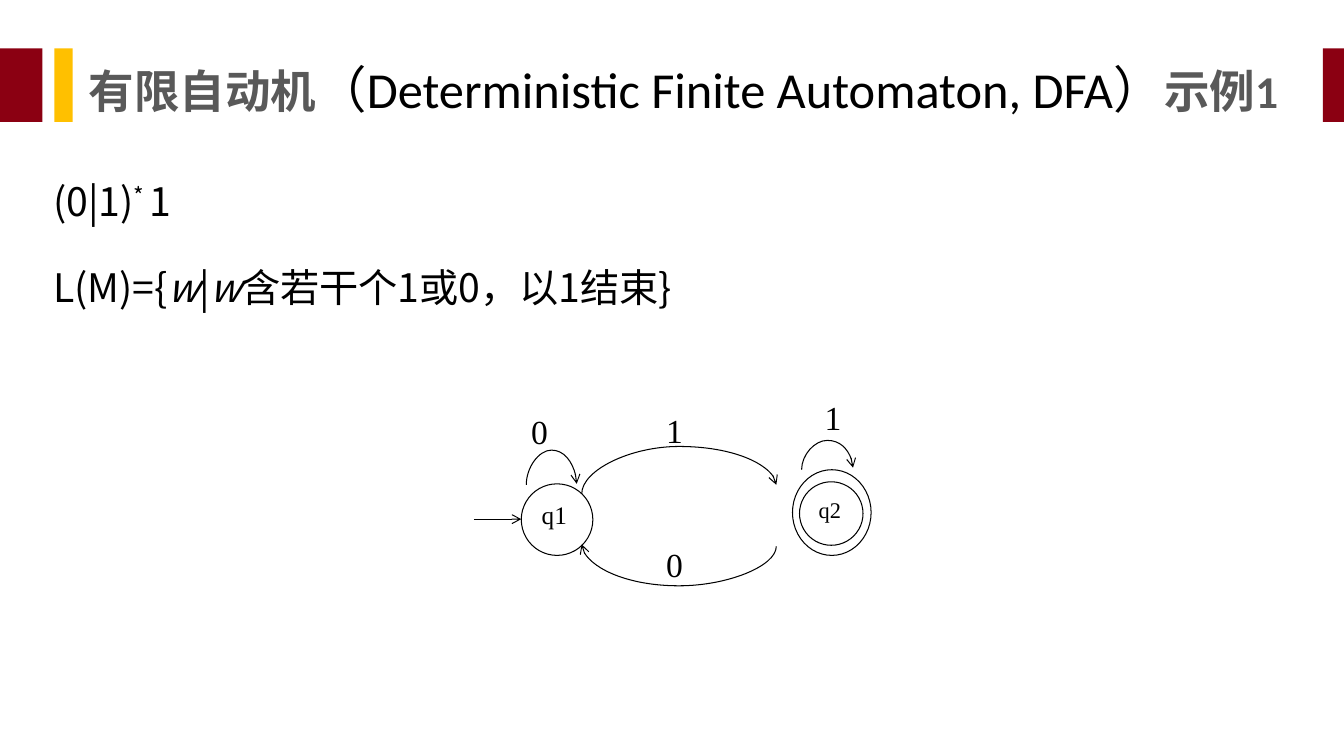
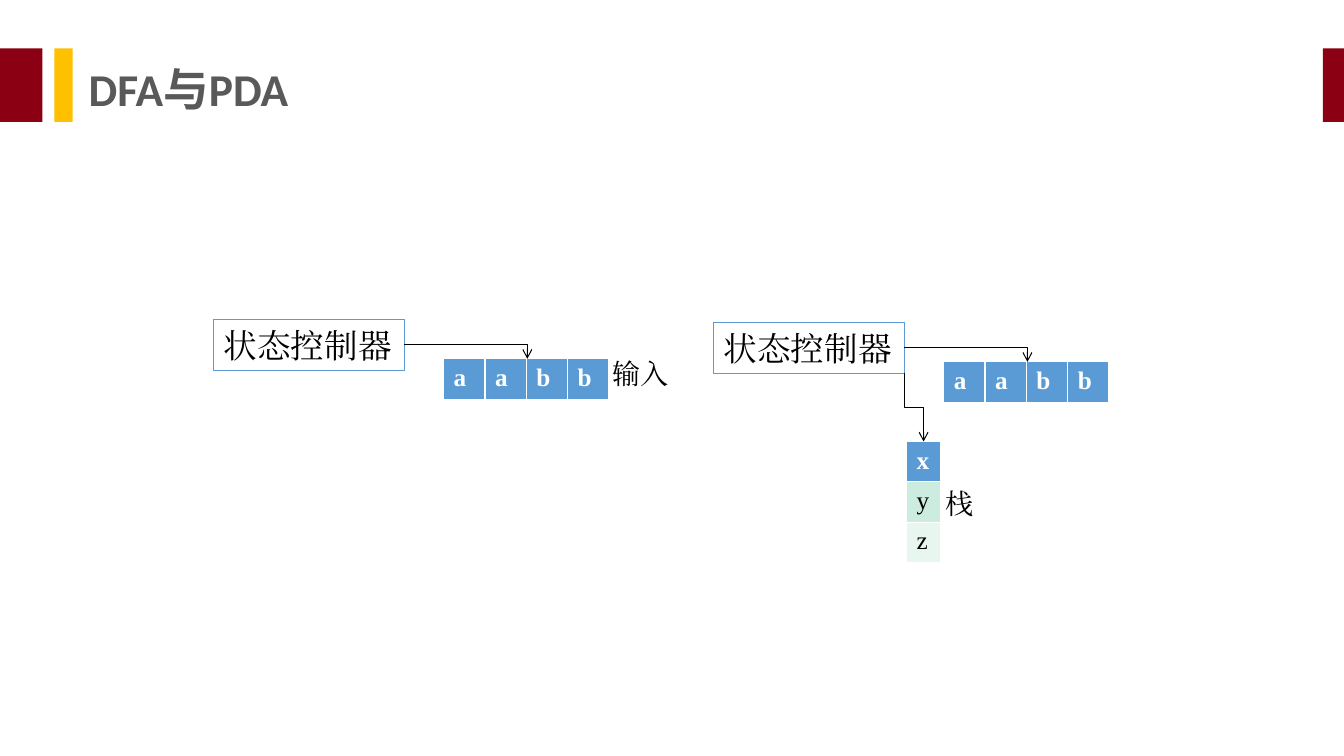
import dataclasses

import lxml.etree
import pptx
import pptx.dml.color
import pptx.enum.shapes
import pptx.enum.text
import pptx.oxml.ns
import pptx.util

PX = 9144
KIND = pptx.enum.shapes.MSO_CONNECTOR
FORM = pptx.enum.shapes.MSO_SHAPE
FIT = pptx.enum.text.MSO_AUTO_SIZE
LEFT = pptx.enum.text.PP_ALIGN.LEFT
TOP = pptx.enum.text.MSO_ANCHOR.TOP
MID = pptx.enum.text.MSO_ANCHOR.MIDDLE
qn = pptx.oxml.ns.qn
Pt = pptx.util.Pt


@dataclasses.dataclass(frozen=True)
class Theme:
    """Colours, faces and type sizes of the deck."""
    red: str = "8B0012"
    gold: str = "FFC000"
    grey: str = "595959"
    black: str = "000000"
    white: str = "FFFFFF"
    blue: str = "5B9BD5"
    bands: tuple = ("CBECDE", "E7F6EF")
    head: str = "Calibri"
    body: str = "Noto Sans CJK SC"
    serif: str = "Times New Roman"
    title: float = 32.5
    wide: int = 36
    text: int = 28
    label: int = 24
    note: int = 20
    cell: int = 18
    small: int = 16
    thin: float = 0.75


T = Theme()


def px(*nums):
    """Turn pixel lengths into EMU."""
    return [round(n * PX) for n in nums]


def rgb(code):
    """Turn a hex code into a colour."""
    return pptx.dml.color.RGBColor.from_string(code)


def style(font, size, face, color=T.black, bold=False):
    """Format a font, with one face for Latin and East Asian text."""
    font.size, font.name, font.bold = Pt(size), face, bold
    font.color.rgb = rgb(color)
    lxml.etree.SubElement(font._rPr, qn("a:ea")).set("typeface", face)


def shape(slide, form, box, fill=None, line=None):
    """Draw a preset shape with flat fill and line."""
    item = slide.shapes.add_shape(form, *px(*box))
    item.shadow.inherit = False
    if fill:
        item.fill.solid()
        item.fill.fore_color.rgb = rgb(fill)
    else:
        item.fill.background()
    if line:
        item.line.color.rgb = rgb(line)
        item.line.width = Pt(T.thin)
    else:
        item.line.fill.background()
    return item


def write(item, text, size):
    """Put one left-aligned serif line at the top of a shape."""
    frame = item.text_frame
    frame.word_wrap = True
    frame.vertical_anchor = TOP
    par = frame.paragraphs[0]
    par.alignment = LEFT
    par.add_run().text = text
    style(par.font, size, T.serif)


def label(slide, text, box, size=T.label):
    """Add a serif text box."""
    write(slide.shapes.add_textbox(*px(*box)), text, size)


def ink(link):
    """Give a connector its line, arrowhead and no shadow."""
    link.line.color.rgb = rgb(T.black)
    link.line.width = Pt(T.thin)
    tail = lxml.etree.SubElement(link.line._get_or_add_ln(), qn("a:tailEnd"))
    tail.set("type", "arrow")
    lxml.etree.SubElement(link._element.spPr, qn("a:effectLst"))


def arrow(slide, start, end, kind=KIND.STRAIGHT):
    """Draw an arrow that leaves sideways; an elbow turns once."""
    link = slide.shapes.add_connector(kind, *px(*start, *end))
    if kind == KIND.ELBOW:
        link._element.spPr.find(qn("a:prstGeom")).set("prst", "bentConnector2")
    ink(link)


def bend(slide, kind, start, end, turn):
    """Draw an arrow that leaves upright and crosses over at height turn."""
    (x1, y1), (x2, y2) = start, end
    wide, high = abs(y2 - y1), abs(x2 - x1)
    left, top = (x1 + x2 - wide) / 2, (y1 + y2 - high) / 2
    link = slide.shapes.add_connector(
        kind, *px(left, top, left + wide, top + high))
    props = link._element.spPr
    frame = props.find(qn("a:xfrm"))
    frame.set("rot", "5400000")
    frame.set("flipH", str(int(y1 > y2)))
    frame.set("flipV", str(int(x1 < x2)))
    guide = lxml.etree.SubElement(
        props.find(qn("a:prstGeom")).find(qn("a:avLst")), qn("a:gd"))
    guide.set("name", "adj1")
    guide.set("fmla", f"val {round((turn - y1) / (y2 - y1) * 100000)}")
    ink(link)


def base(deck, parts):
    """Add a slide with its bars and its title, made of (text, plain) parts."""
    slide = deck.slides.add_slide(deck.slide_layouts[5])
    for x, wide, fill in ((-1, 43, T.red), (54, 18, T.gold), (1312, 22, T.red)):
        shape(slide, FORM.RECTANGLE, (x, 48, wide, 73), fill)
    title = slide.shapes.title
    title.left, title.top, title.width, title.height = px(88, 57, 1207, 61)
    frame = title.text_frame
    frame.margin_left = frame.margin_right = 0
    frame.margin_top = frame.margin_bottom = 0
    frame.word_wrap, frame.vertical_anchor = True, MID
    frame.auto_size = FIT.SHAPE_TO_FIT_TEXT
    par = frame.paragraphs[0]
    par.alignment = LEFT
    for text, plain in parts:
        run = par.add_run()
        run.text = text
        if plain:
            style(run.font, T.wide, T.head)
        else:
            style(run.font, T.title, T.head, T.grey, True)
    return slide


def rules(slide, box):
    """Write the expression and the language it accepts."""
    frame = slide.shapes.add_textbox(*px(*box)).text_frame
    frame.word_wrap = True
    lines = (
        (("(0|1)", ""), ("* ", "up"), ("1", "")),
        (("L(M)={", ""), ("w", "it"), ("|", ""), ("w", "it"),
         ("含若干个1或0，以1结束}", "")),
    )
    for i, line in enumerate(lines):
        par = frame.add_paragraph() if i else frame.paragraphs[0]
        par.line_spacing, par.space_after = 0.9, Pt(31)
        style(par.font, T.text, T.body)
        for text, look in line:
            run = par.add_run()
            run.text = text
            if look == "it":
                run.font.italic = True
            elif look == "up":
                run.font._rPr.set("baseline", "30000")


def graph(slide, x, y):
    """Draw the two-state automaton from its top left corner."""
    def at(dx, dy):
        return x + dx, y + dy

    for spot, size, text, pt in (((47, 91), (71, 71), "q1", T.cell),
                                 ((323, 89), (63, 63), "q2", T.small),
                                 ((316, 77), (78, 85), "", 0)):
        node = shape(slide, FORM.OVAL, (*at(*spot), *size), line=T.black)
        if text:
            write(node, text, pt)
    for start, end, turn in (((107, 101), (300, 92), 54),
                             ((300, 153), (107, 151), 192),
                             ((52, 92), (102, 91), 57),
                             ((325, 77), (376, 75), 48)):
        bend(slide, KIND.CURVE, at(*start), at(*end), y + turn)
    arrow(slide, at(0, 126), at(47, 126))
    for text, spot in (("1", (181, 13)), ("0", (181, 146)),
                       ("0", (47, 14)), ("1", (338, 0))):
        label(slide, text, (*at(*spot), 47, 50))


def grid(slide, x, y, rows, wide):
    """Add a table of letters with a blue head row."""
    high = 40
    table = slide.shapes.add_table(
        len(rows), len(rows[0]),
        *px(x, y, wide * len(rows[0]), high * len(rows))).table
    for col in table.columns:
        col.width = px(wide)[0]
    for i, row in enumerate(rows):
        table.rows[i].height = px(high)[0]
        for j, text in enumerate(row):
            cell = table.cell(i, j)
            cell.fill.solid()
            cell.fill.fore_color.rgb = rgb(T.bands[(i - 1) % 2] if i else T.blue)
            par = cell.text_frame.paragraphs[0]
            par.add_run().text = text
            style(par.font, T.cell, T.serif, T.black if i else T.white, not i)


def unit(slide, x, y):
    """Draw a state controller that reads an input tape."""
    box = shape(slide, FORM.RECTANGLE, (x, y, 189, 51), line=T.blue)
    write(box, "状态控制器", T.label)
    grid(slide, x + 228, y + 39, ["aabb"], 41)
    arrow(slide, (x + 189, y + 25), (x + 311, y + 39), KIND.ELBOW)


def stack(slide, x, y):
    """Draw the stack and the arrow that comes to it from a controller."""
    grid(slide, x, y, "xyz", 34)
    bend(slide, KIND.ELBOW, (x - 2, y - 68), (x + 17, y), y - 34)
    label(slide, "栈", (x + 29, y + 40, 47, 44), T.note)


def main():
    """Build and save the deck."""
    deck = pptx.Presentation()
    deck.slide_width, deck.slide_height = px(1333, 750)
    slide = base(deck, (("有限自动机", False),
                        ("（Deterministic Finite Automaton, DFA）", True),
                        ("示例1", False)))
    rules(slide, (43, 176, 732, 199))
    graph(slide, 470, 389)
    slide = base(deck, (("DFA与PDA", False),))
    unit(slide, 212, 317)
    label(slide, "输入", (598, 349, 87, 44), T.note)
    unit(slide, 708, 320)
    stack(slide, 899, 438)
    deck.save("out.pptx")


if __name__ == "__main__":
    main()
